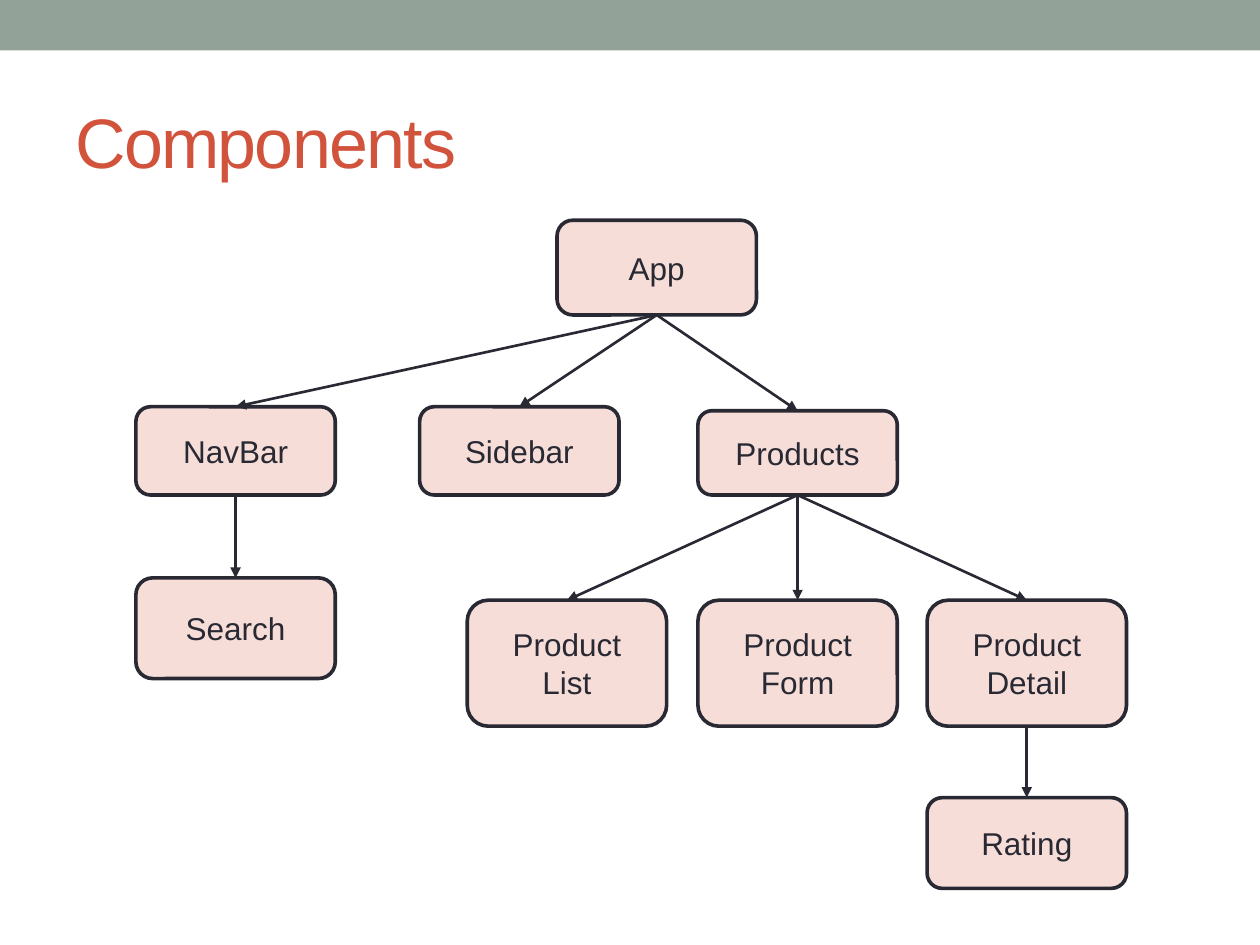
"""Build a slide showing a component tree."""
from dataclasses import dataclass

from lxml import etree
from pptx import Presentation
from pptx.dml.color import RGBColor
from pptx.enum.shapes import MSO_CONNECTOR, MSO_SHAPE
from pptx.enum.text import MSO_ANCHOR, PP_ALIGN
from pptx.oxml.ns import qn
from pptx.shapes.autoshape import Shape
from pptx.slide import Slide
from pptx.util import Cm, Pt

RECT, ROUND = MSO_SHAPE.RECTANGLE, MSO_SHAPE.ROUNDED_RECTANGLE
STRAIGHT = MSO_CONNECTOR.STRAIGHT
MIDDLE = MSO_ANCHOR.MIDDLE
LEFT, CENTER = PP_ALIGN.LEFT, PP_ALIGN.CENTER
TOP_SITE, BOTTOM_SITE = 0, 2

COLORS = {"band": "93A299", "title": "D2533C", "box": "F6DDD8", "ink": "292934"}
FONT = "Arial"
BOX_WIDTH = 4.02


@dataclass(frozen=True)
class Component:
    """A box of the tree, in centimetres, with the name of its parent."""
    name: str
    left: float
    top: float
    height: float
    parent: str = ""


COMPONENTS = [
    Component("App", 11.23, 4.44, 1.91),
    Component("NavBar", 2.74, 8.2, 1.78, "App"),
    Component("Sidebar", 8.46, 8.2, 1.78, "App"),
    Component("Products", 14.07, 8.28, 1.7, "App"),
    Component("Search", 2.74, 11.65, 2.03, "NavBar"),
    Component("Product List", 9.42, 12.1, 2.54, "Products"),
    Component("Product Form", 14.07, 12.1, 2.54, "Products"),
    Component("Product Detail", 18.69, 12.1, 2.54, "Products"),
    Component("Rating", 18.69, 16.08, 1.83, "Product Detail"),
]


def rgb(key: str) -> RGBColor:
    """Return a named colour."""
    return RGBColor.from_string(COLORS[key])


def write(sp: Shape, text: str, *, size: float, color: str,
          align: PP_ALIGN = LEFT, spacing: int = 0) -> None:
    """Put formatted text in a shape, with spacing in hundredths of a point."""
    tf = sp.text_frame
    tf.word_wrap = True
    tf.vertical_anchor = MIDDLE
    p = tf.paragraphs[0]
    p.alignment = align
    r = p.add_run()
    r.text = text
    r.font.name = FONT
    r.font.size = Pt(size)
    r.font.color.rgb = rgb(color)
    if spacing:
        r.font._element.set("spc", str(spacing))


def add_band(s: Slide, width: int) -> None:
    """Draw the band along the top edge."""
    sp = s.shapes.add_shape(RECT, 0, 0, width, Cm(1.02))
    sp.shadow.inherit = False
    sp.fill.solid()
    sp.fill.fore_color.rgb = rgb("band")
    sp.line.fill.background()


def add_title(s: Slide, text: str) -> None:
    """Write the slide title."""
    sp = s.shapes.add_textbox(Cm(1.27), Cm(1.47), Cm(22.86), Cm(2.74))
    write(sp, text, size=40, color="title", spacing=-100)


def add_component(s: Slide, c: Component) -> Shape:
    """Draw one box of the tree."""
    sp = s.shapes.add_shape(ROUND, Cm(c.left), Cm(c.top), Cm(BOX_WIDTH), Cm(c.height))
    sp.shadow.inherit = False
    sp.fill.solid()
    sp.fill.fore_color.rgb = rgb("box")
    sp.line.color.rgb = rgb("ink")
    sp.line.width = Pt(2.08)
    write(sp, c.name, size=18, color="ink", align=CENTER)
    return sp


def add_arrow(s: Slide, parent: Shape, child: Shape) -> None:
    """Join the bottom of a parent to the top of its child."""
    cx = s.shapes.add_connector(STRAIGHT, 0, 0, 0, 0)
    cx.begin_connect(parent, BOTTOM_SITE)
    cx.end_connect(child, TOP_SITE)
    cx.line.color.rgb = rgb("ink")
    cx.line.width = Pt(1.5)
    etree.SubElement(cx.line._get_or_add_ln(), qn("a:tailEnd"), type="triangle")
    etree.SubElement(cx._element.spPr, qn("a:effectLst"))


def main() -> None:
    """Build and save the presentation."""
    prs = Presentation()
    prs.slide_width, prs.slide_height = Cm(25.4), Cm(19.05)
    s = prs.slides.add_slide(prs.slide_layouts[6])
    add_band(s, prs.slide_width)
    add_title(s, "Components")
    boxes = {c.name: add_component(s, c) for c in COMPONENTS}
    for c in COMPONENTS:
        if c.parent:
            add_arrow(s, boxes[c.parent], boxes[c.name])
    prs.save("out.pptx")


main()
